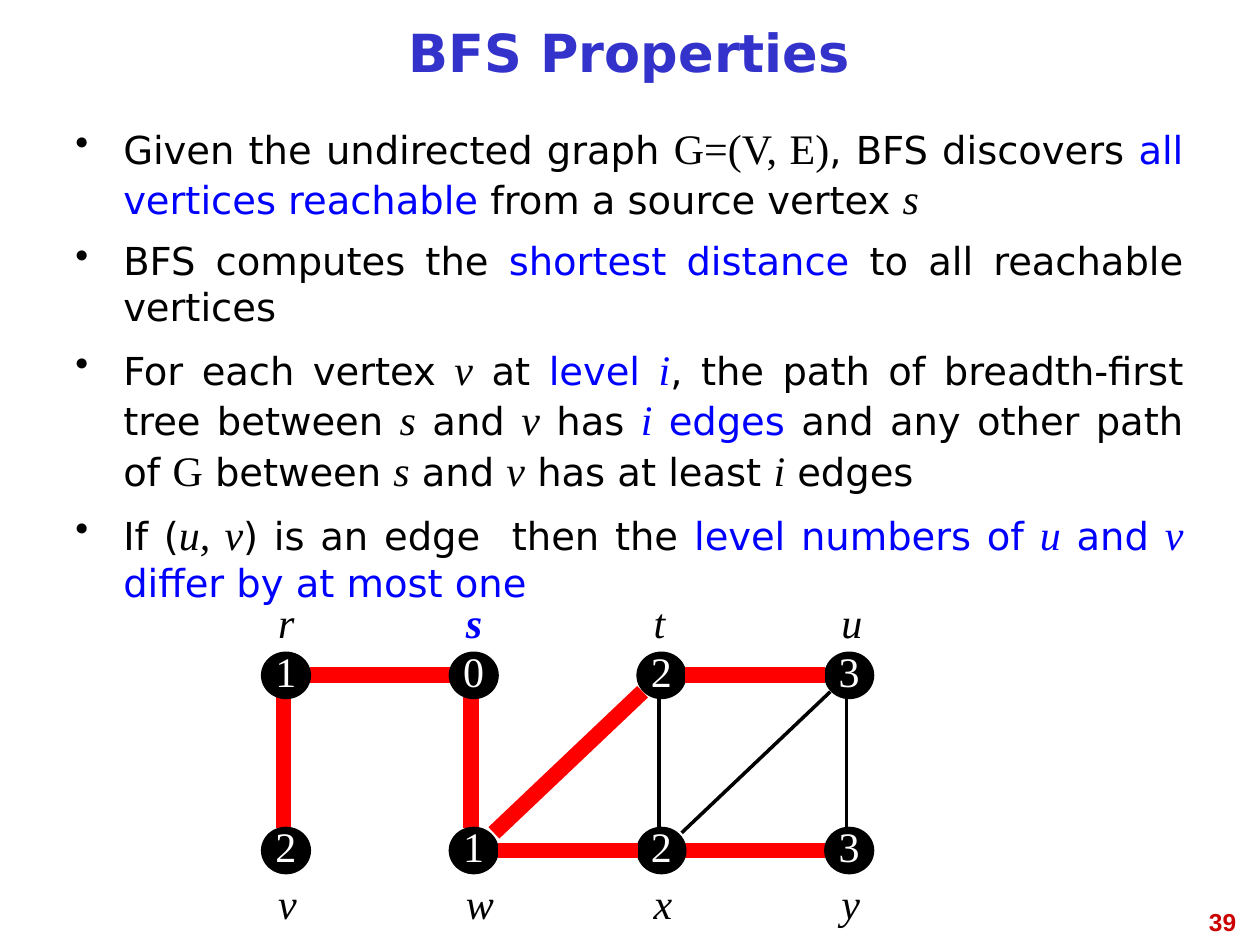
from lxml.etree import SubElement
from pptx import Presentation
from pptx.dml.color import RGBColor
from pptx.enum.shapes import MSO_CONNECTOR, MSO_SHAPE
from pptx.enum.text import MSO_ANCHOR, PP_ALIGN
from pptx.oxml.ns import qn
from pptx.util import Inches, Pt

BLACK = RGBColor(0x00, 0x00, 0x00)
WHITE = RGBColor(0xFF, 0xFF, 0xFF)
BLUE = RGBColor(0x00, 0x00, 0xFF)
INDIGO = RGBColor(0x33, 0x33, 0xCC)
RED = RGBColor(0xFF, 0x00, 0x00)
CRIMSON = RGBColor(0xCC, 0x00, 0x00)

SANS, SERIF, NUMBER = "DejaVu Sans", "Times New Roman", "Arial"

PLAIN = (SANS, 22, BLACK, False, False)
KEY = (SANS, 22, BLUE, False, False)
MATH = (SERIF, 24, BLACK, False, False)
VAR = (SERIF, 24, BLACK, False, True)
KEY_VAR = (SERIF, 24, BLUE, False, True)
SOURCE = (SERIF, 24, BLUE, True, True)
LEVEL = (SERIF, 24, WHITE, False, False)
TITLE = (SANS, 30, INDIGO, True, False)
PAGE_NUMBER = (NUMBER, 14, CRIMSON, True, False)

PROPERTIES = [
    [("Given the undirected graph ", PLAIN), ("G=(V, E)", MATH),
     (", BFS discovers ", PLAIN), ("all vertices reachable", KEY),
     (" from a source vertex ", PLAIN), ("s", VAR)],
    [("BFS computes the ", PLAIN), ("shortest distance", KEY),
     (" to all reachable vertices", PLAIN)],
    [("For each vertex ", PLAIN), ("v", VAR), (" at ", PLAIN),
     ("level ", KEY), ("i", KEY_VAR),
     (", the path of breadth-first tree between ", PLAIN), ("s", VAR),
     (" and ", PLAIN), ("v", VAR), (" has ", PLAIN), ("i", KEY_VAR),
     (" edges", KEY), (" and any other path of ", PLAIN), ("G", MATH),
     (" between ", PLAIN), ("s", VAR), (" and ", PLAIN), ("v", VAR),
     (" has at least ", PLAIN), ("i", VAR), (" edges", PLAIN)],
    [("If (", PLAIN), ("u, v", VAR), (") is an edge  then the ", PLAIN),
     ("level numbers of ", KEY), ("u", KEY_VAR), (" and ", KEY),
     ("v", KEY_VAR), (" differ by at most one", KEY)],
]

VERTICES = {
    "r": (0, 0, 1), "s": (1, 0, 0), "t": (2, 0, 2), "u": (3, 0, 3),
    "v": (0, 1, 2), "w": (1, 1, 1), "x": (2, 1, 2), "y": (3, 1, 3),
}
EDGES_BEHIND = [("xy", True), ("vr", True), ("rs", True), ("ws", True)]
EDGES_IN_FRONT = [("xt", False), ("yu", False), ("xu", False),
                  ("wt", True), ("wx", True), ("tu", True)]


class GraphPage:
    CELL = Inches(0.1)
    FIRST_COLUMN, COLUMN_STEP = 22.7, 14.9
    FIRST_ROW, ROW_STEP = 53.6, 13.9
    LABEL_ROWS = (49.3, 71.6)

    def __init__(self, deck):
        self.page = deck.slides.add_slide(deck.slide_layouts[5])

    def cells(self, *counts):
        return [round(count * self.CELL) for count in counts]

    def center(self, name):
        column, row, _ = VERTICES[name]
        return (self.FIRST_COLUMN + column * self.COLUMN_STEP,
                self.FIRST_ROW + row * self.ROW_STEP)

    def style(self, font, look):
        font.name, size, font.color.rgb, font.bold, font.italic = look
        font.size = Pt(size)

    def fill_text(self, shape, text, look, align, anchor=MSO_ANCHOR.MIDDLE,
                  wrap=False, spacing=None):
        frame = shape.text_frame
        frame.word_wrap = wrap
        frame.vertical_anchor = anchor
        para = frame.paragraphs[0]
        para.text = text
        para.alignment = align
        if spacing:
            para.line_spacing = spacing
        self.style(para.font, look)

    def title(self, text, *area):
        box = self.page.shapes.title
        box.left, box.top, box.width, box.height = self.cells(*area)
        self.fill_text(box, text, TITLE, PP_ALIGN.CENTER, wrap=True,
                       spacing=0.81)

    def label(self, text, look, *area, **layout):
        box = self.page.shapes.add_textbox(*self.cells(*area))
        self.fill_text(box, text, look, **layout)

    def bullets(self, items, *area):
        frame = self.page.shapes.add_textbox(*self.cells(*area)).text_frame
        frame.word_wrap = True
        for index, spans in enumerate(items):
            para = frame.add_paragraph() if index else frame.paragraphs[0]
            para.alignment = PP_ALIGN.JUSTIFY
            if index:
                para.space_before = Pt(8)
            properties = para._p.get_or_add_pPr()
            properties.set("marL", str(Inches(0.38)))
            properties.set("indent", str(-Inches(0.38)))
            SubElement(properties, qn("a:buChar")).set("char", "•")
            for text, look in spans:
                span = para.add_run()
                span.text = text
                self.style(span.font, look)

    def edge(self, ends, in_tree):
        (x1, y1), (x2, y2) = map(self.center, ends)
        if y1 == y2:
            x1, x2 = x1 + 1.9, x2 - 1.9
        elif x1 == x2:
            x1, x2, y1, y2 = x1 - 0.2, x2 - 0.2, y1 - 1.8, y2 + 1.7
        else:
            x1, x2, y1, y2 = x1 + 1.6, x2 - 1.5, y1 - 1.4, y2 + 1.3
        line = self.page.shapes.add_connector(
            MSO_CONNECTOR.STRAIGHT, *self.cells(x1, y1, x2, y2))
        line.line.color.rgb = RED if in_tree else BLACK
        line.line.width = Pt(9 if in_tree else 2)
        SubElement(line._element.spPr, qn("a:effectLst"))

    def vertex(self, name):
        _, row, level = VERTICES[name]
        x, y = self.center(name)
        node = self.page.shapes.add_shape(
            MSO_SHAPE.OVAL, *self.cells(x - 1.85, y - 1.75, 3.7, 3.5))
        node.shadow.inherit = False
        node.fill.solid()
        node.fill.fore_color.rgb = BLACK
        node.line.color.rgb = BLACK
        node.line.width = Pt(2)
        self.fill_text(node, str(level), LEVEL, PP_ALIGN.CENTER, spacing=0.81)
        self.label(name, SOURCE if name == "s" else VAR,
                   x - 1.6, self.LABEL_ROWS[row] - 1.75, 3.4, 3.5,
                   align=PP_ALIGN.LEFT)


def main():
    deck = Presentation()
    deck.slide_width, deck.slide_height = Inches(10), Inches(7.5)
    page = GraphPage(deck)
    page.title("BFS Properties", 5, 0.8, 89.9, 7.5)
    page.bullets(PROPERTIES, 5, 9.2, 89.9, 58.3)
    for ends, in_tree in EDGES_BEHIND:
        page.edge(ends, in_tree)
    for name in VERTICES:
        page.vertex(name)
    for ends, in_tree in EDGES_IN_FRONT:
        page.edge(ends, in_tree)
    page.label("39", PAGE_NUMBER, 75.8, 71.5, 23.3, 3.5,
               align=PP_ALIGN.RIGHT, anchor=MSO_ANCHOR.TOP, wrap=True)
    deck.save("out.pptx")


if __name__ == "__main__":
    main()
